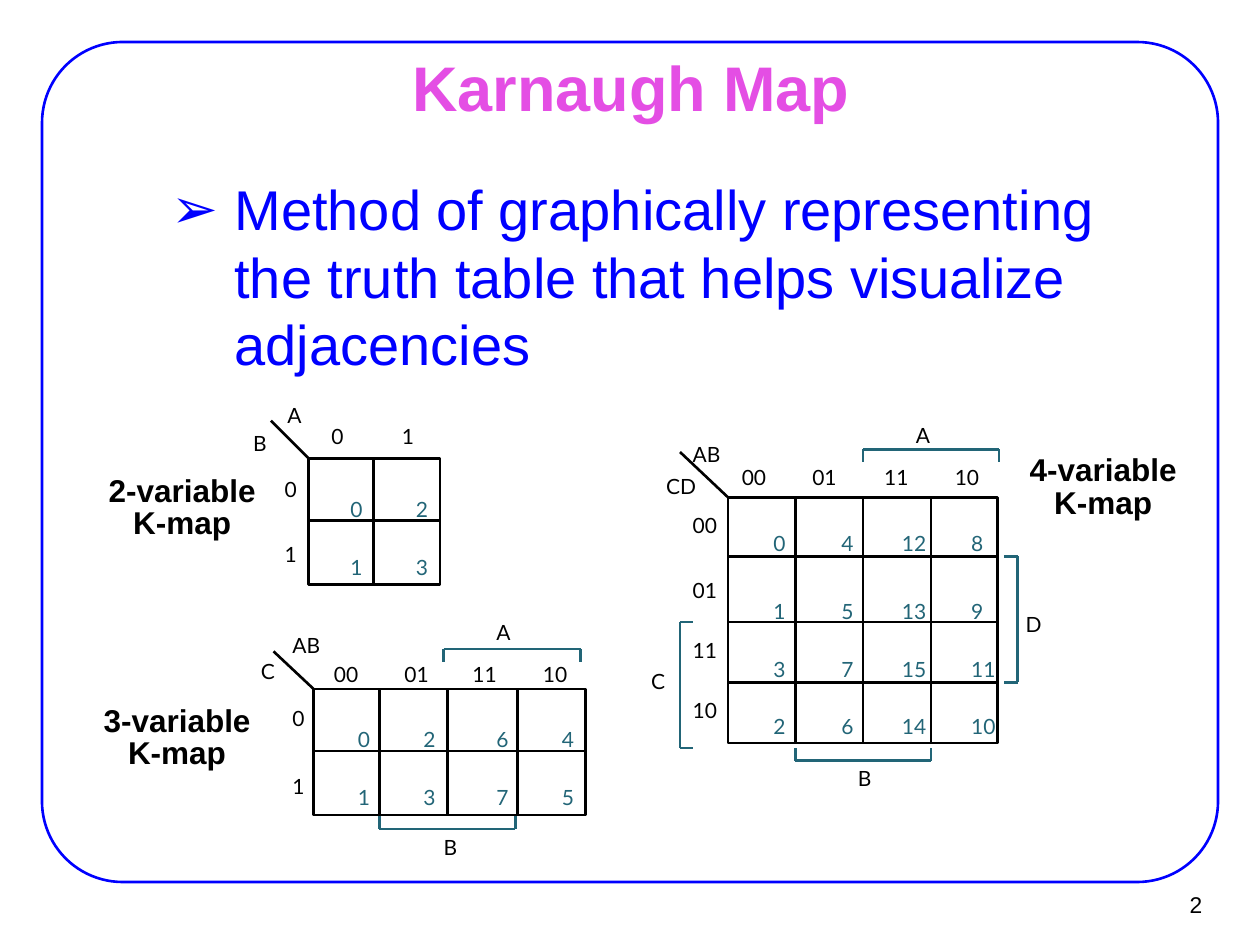
import pptx
import pptx.util
import pptx.dml.color
import pptx.enum.shapes
import pptx.enum.text
import lxml.etree
from dataclasses import dataclass

Pt = pptx.util.Pt
Shape = pptx.enum.shapes.MSO_SHAPE
Align = pptx.enum.text.PP_ALIGN
Anchor = pptx.enum.text.MSO_ANCHOR
NS = "http://schemas.openxmlformats.org/drawingml/2006/main"


def tint(code):
    return pptx.dml.color.RGBColor.from_string(code)


@dataclass
class Theme:
    blue: object = tint("0000FF")
    pink: object = tint("E44EE4")
    black: object = tint("000000")
    teal: object = tint("226577")
    rule: float = 1.5
    main: str = "Arial"
    small: str = "Lato"
    head: int = 36
    body: int = 32
    label: int = 18
    page: int = 13
    cell: int = 12


theme = Theme()


def apply(thing, form):
    for key, value in form.items():
        setattr(thing, key, value)


def write(slide, box, lines, font, color, para=None, pad=(0, 0), **form):
    item = slide.shapes.add_textbox(*map(Pt, box))
    frame = item.text_frame
    side, top = map(Pt, pad)
    apply(frame, {"word_wrap": True, "margin_left": side, "margin_right": side,
                  "margin_top": top, "margin_bottom": top, **form})
    for i, line in enumerate(lines):
        part = frame.paragraphs[0] if i == 0 else frame.add_paragraph()
        apply(part, para or {})
        run = part.add_run()
        run.text = line
        apply(run.font, font)
        run.font.color.rgb = color
    return item


def outline(slide, kind, box, color):
    item = slide.shapes.add_shape(kind, *map(Pt, box))
    item.shadow.inherit = False
    item.fill.background()
    item.line.color.rgb = color
    item.line.width = Pt(theme.rule)
    return item


def draw(slide, base, start, end, color):
    ends = [Pt(a + b) for spot in (start, end) for a, b in zip(base, spot)]
    line = slide.shapes.add_connector(pptx.enum.shapes.MSO_CONNECTOR.STRAIGHT, *ends)
    line.line.color.rgb = color
    line.line.width = Pt(theme.rule)
    lxml.etree.SubElement(line._element.spPr, f"{{{NS}}}effectLst")


def mark(slide, base, spot, text, color):
    box = (base[0] + spot[0], base[1] + spot[1], 8 + 10 * len(text), 18)
    write(slide, box, [text], {"name": theme.small, "size": Pt(theme.cell)}, color)


def brace(slide, base, text, spot, axis, low, high, tip, back):
    path = [(low, tip), (low, back), (high, back), (high, tip)]
    if axis == "y":
        path = [(x, y) for y, x in path]
    for start, end in zip(path, path[1:]):
        draw(slide, base, start, end, theme.teal)
    mark(slide, base, spot, text, theme.black)


def grid(slide, box, cols, rows, slant, corner, heads, sides, cells, braces):
    base, (wide, tall) = box[:2], box[2:]
    outline(slide, Shape.RECTANGLE, box, theme.black)
    for x in cols:
        draw(slide, base, (x, 0), (x, tall), theme.black)
    for y in rows:
        draw(slide, base, (0, y), (wide, y), theme.black)
    draw(slide, base, (0, 0), slant, theme.black)
    for text, spot in corner:
        mark(slide, base, spot, text, theme.black)
    for text, x in zip(heads["text"], heads["x"]):
        mark(slide, base, (x, heads["y"]), text, theme.black)
    for text, y in zip(sides["text"], sides["y"]):
        mark(slide, base, (sides["x"], y), text, theme.black)
    for x, group in zip(cells["x"], cells["text"]):
        for y, text in zip(cells["y"], group):
            mark(slide, base, (x, y), text, theme.teal)
    for item in braces:
        brace(slide, base, *item)


def intro(slide, box):
    left, top, wide, tall = box
    edge = outline(slide, Shape.ROUNDED_RECTANGLE, box, theme.blue)
    edge.adjustments[0] = 0.096
    write(slide, (left + 31, top + 8, wide - 61, 35), ["Karnaugh Map"],
          {"name": theme.main, "size": Pt(theme.head), "bold": True}, theme.pink,
          {"alignment": Align.CENTER}, (8, 4), vertical_anchor=Anchor.MIDDLE)
    body = write(slide, (left + 30, top + 72, wide - 60, 366),
                 ["Method of graphically representing the truth table"
                  " that helps visualize adjacencies"],
                 {"name": theme.main, "size": Pt(theme.body)}, theme.blue,
                 {"space_before": Pt(6.4)}, (8, 4))
    props = body.text_frame.paragraphs[0]._p.get_or_add_pPr()
    props.set("marL", str(Pt(72)))
    props.set("indent", str(Pt(-36)))
    lxml.etree.SubElement(props, f"{{{NS}}}buFont").set("typeface", theme.main)
    lxml.etree.SubElement(props, f"{{{NS}}}buChar").set("char", "➢")
    write(slide, (left + 625.5, top + 479.5, 44, 26.5), ["2"],
          {"name": theme.main, "size": Pt(theme.page)}, theme.black,
          {"alignment": Align.RIGHT}, (6.5, 3), vertical_anchor=Anchor.MIDDLE)


def label(slide, spot, count):
    write(slide, (*spot, 94.4, 41), [f"{count}-variable", "K-map"],
          {"name": theme.main, "size": Pt(theme.label), "bold": True}, theme.black,
          {"alignment": Align.CENTER, "line_spacing": 0.85}, (5, 2.2), word_wrap=False)


gray = ["00", "01", "11", "10"]
bits = ["0", "1"]
maps = [
    dict(box=(176.4, 262, 75, 72), cols=[37], rows=[35.3], slant=(-21.6, -21.6),
         corner=[("A", (-12.2, -31.7)), ("B", (-31.7, -15.8))],
         heads=dict(text=bits, x=[13, 53.3], y=-20.2),
         sides=dict(text=bits, x=-13.7, y=[10, 47.5]),
         cells=dict(x=[23.8, 61.2], y=[21.6, 54.7], text=["01", "23"]),
         braces=[]),
    dict(box=(179.3, 393.8, 155.5, 72), cols=[37.4, 76.3, 116.6], rows=[35.3],
         slant=(-23, -21.6),
         corner=[("AB", (-12.2, -32.4)), ("C", (-30.2, -17.3))],
         heads=dict(text=gray, x=[11.5, 51.8, 90.7, 131], y=-15.8),
         sides=dict(text=bits, x=-12.2, y=[9.4, 48.2]),
         cells=dict(x=[25.2, 62.6, 104.4, 141.8], y=[21.6, 54.7],
                    text=["01", "23", "67", "45"]),
         braces=[("A", (104.4, -39.6), "x", 74.2, 152.6, -15.8, -23),
                 ("B", (74.2, 82.8), "x", 37.4, 115.2, 72.7, 80)]),
    dict(box=(416, 284.2, 154, 140.4), cols=[38.4, 77.2, 116], rows=[33.8, 71.3, 105.8],
         slant=(-27.4, -25.9),
         corner=[("AB", (-20.2, -31.7)), ("CD", (-35.3, -13.7))],
         heads=dict(text=gray, x=[7.9, 48.2, 89.3, 129.6], y=-18.7),
         sides=dict(text=gray, x=-20.2, y=[8.6, 46, 80, 114.5]),
         cells=dict(x=[25.9, 64.8, 99.4, 139], y=[18.7, 57.6, 90.7, 123.8],
                    text=["0132", "4576", ["12", "13", "15", "14"],
                          ["8", "9", "11", "10"]]),
         braces=[("A", (107.3, -42.5), "x", 77.2, 154.8, -20.2, -27.4),
                 ("B", (74.2, 153.4), "x", 38.4, 116, 143.3, 150.5),
                 ("C", (-43.9, 98), "y", 71.3, 143.3, -20.2, -27.4),
                 ("D", (170, 65.5), "y", 33.8, 105.8, 157.7, 165.6)]),
]
spots = [(56.9, 270), (54, 401.8), (583.2, 258.5)]

deck = pptx.Presentation()
apply(deck, {"slide_width": Pt(720), "slide_height": Pt(540)})
slide = deck.slides.add_slide(deck.slide_layouts[6])
intro(slide, (24, 24, 672, 480))
for count, (spot, plan) in enumerate(zip(spots, maps), 2):
    label(slide, spot, count)
    grid(slide, **plan)
deck.save("out.pptx")
